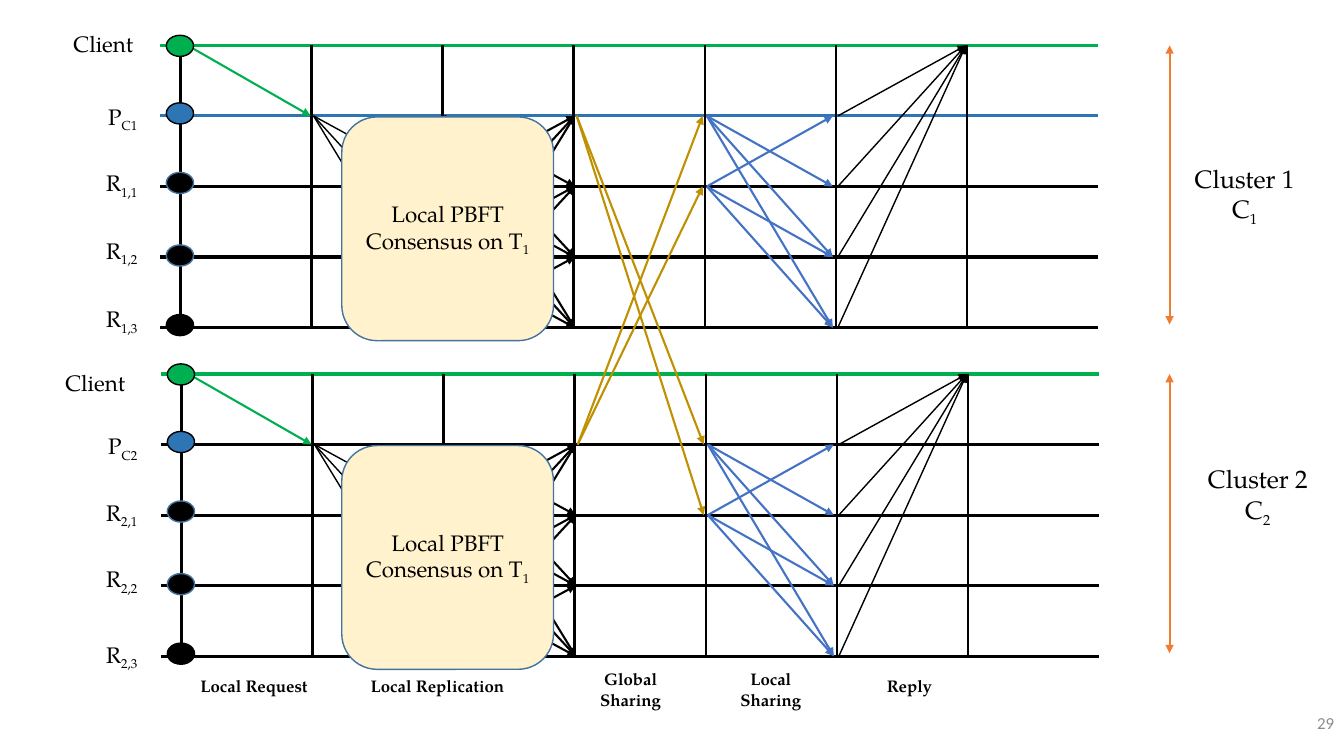
from dataclasses import dataclass

from lxml.etree import SubElement as Sub
from pptx import Presentation as Deck
from pptx.dml.color import RGBColor as Color
from pptx.enum.shapes import MSO_CONNECTOR as Link, MSO_SHAPE as Form
from pptx.enum.text import MSO_ANCHOR as Anchor, PP_ALIGN as Align
from pptx.oxml.ns import qn
from pptx.util import Emu, Pt

PX = 9144  # EMU per px, 100 px to the inch
SERIF = "TeX Gyre Pagella"
BLACK, GREEN, BLUE, RIM = "000000", "00B050", "2E75B6", "43739E"
GOLD, SKY, RUST, CREAM, GRAY = "BF9000", "4472C4", "ED7D31", "FFF2CC", "8C8C8C"
COL, ROW = 130, 70  # grid steps between phases and between nodes
ROWS, COLS = 5, 7

Spot = tuple[int, int]
Area = tuple[int, int, int, int]
Runs = list[tuple[str, str]]  # pairs of plain text and subscript


@dataclass
class Node:
    drop: int
    fill: str
    rim: str


@dataclass
class Flow:
    col: int
    starts: tuple[int, ...]
    ends: tuple[int, ...]
    color: str
    width: float
    lead: int = 2
    gap: int = 1


@dataclass
class Group:
    num: str
    left: int
    top: int
    main: str
    client: Area
    names: tuple[int, ...]
    title: Area


@dataclass
class Phase:
    lines: tuple[str, ...]
    area: Area


NODES = [
    Node(-10, GREEN, BLACK),
    Node(57, BLUE, BLACK),
    Node(126, BLACK, RIM),
    Node(198, BLACK, RIM),
    Node(267, BLACK, BLACK),
]
PEERS = (1, 2, 3, 4)
FLOWS = [
    Flow(0, (0,), (1,), GREEN, 1.5, lead=7),
    Flow(1, (1,), (2, 3, 4), BLACK, 1, gap=0),
    Flow(2, PEERS, PEERS, BLACK, 1.5, gap=-1),
    Flow(4, (1, 2), PEERS, SKY, 1.5, gap=3),
    Flow(5, PEERS, (0,), BLACK, 1),
]
GROUPS = [
    Group("1", 179, 45, BLUE, (62, 25, 80, 37), (97, 163, 230, 298),
          (1173, 157, 123, 71)),
    Group("2", 180, 371, BLACK, (54, 361, 80, 37), (424, 490, 556, 631),
          (1187, 455, 121, 71)),
]
PHASES = [
    Phase(("Local Request",), (188, 665, 128, 30)),
    Phase(("Local Replication",), (357, 665, 154, 30)),
    Phase(("Global", "Sharing"), (585, 659, 81, 50)),
    Phase(("Local", "Sharing"), (724, 659, 81, 50)),
    Phase(("Reply",), (869, 665, 66, 30)),
]


def px(num: int) -> Emu:
    return Emu(num * PX)


def paint(part, code: str) -> None:
    """Give a fill or line format a solid colour."""
    fill = part.fill if hasattr(part, "fill") else part
    fill.solid()
    fill.fore_color.rgb = Color.from_string(code)


def line(start: Spot, end: Spot, color: str, width: float, *tips: str) -> None:
    wire = slide.shapes.add_connector(Link.STRAIGHT, *map(px, start + end))
    paint(wire.line, color)
    wire.line.width = Pt(width)
    for tip in tips:
        Sub(wire.line._get_or_add_ln(), qn("a:" + tip), type="triangle")
    Sub(wire._element.spPr, qn("a:effectLst"))


def shape(form: Form, area: Area, fill: str, rim: str):
    item = slide.shapes.add_shape(form, *map(px, area))
    item.shadow.inherit = False
    paint(item.fill, fill)
    paint(item.line, rim)
    item.line.width = Pt(1)
    return item


def write(frame, rows: list[Runs], size: int, align: Align,
          color: str = BLACK, bold: bool = False, face: str = SERIF) -> None:
    for at, runs in enumerate(rows):
        para = frame.add_paragraph() if at else frame.paragraphs[0]
        para.alignment = align
        for pair in runs:
            for low, text in enumerate(pair):
                if not text:
                    continue
                run = para.add_run()
                run.text = text
                run.font.size, run.font.name, run.font.bold = Pt(size), face, bold
                paint(run.font, color)
                if low:
                    run._r.get_or_add_rPr().set("baseline", "-25000")


def label(area: Area, rows: list[Runs], size: int, align: Align,
          **style) -> None:
    frame = slide.shapes.add_textbox(*map(px, area)).text_frame
    frame.word_wrap = False
    write(frame, rows, size, align, **style)


def spot(group: Group, col: int, row: int, shift: int = 0) -> Spot:
    return group.left + col * COL + shift, group.top + row * ROW


def draw(group: Group) -> None:
    # Time lines and phase borders
    tints = [GREEN, group.main] + [BLACK] * 3
    for row, tint in enumerate(tints):
        line(spot(group, 0, row, -20), spot(group, COLS, row), tint, 2.25)
    for col in range(COLS):
        line(spot(group, col, 0), spot(group, col, ROWS - 1), BLACK, 1.75)

    # Messages within the cluster
    for flow in FLOWS:
        for a in flow.starts:
            for b in flow.ends:
                if a != b:
                    line(spot(group, flow.col, a, flow.lead),
                         spot(group, flow.col + 1, b, -flow.gap),
                         flow.color, flow.width, "tailEnd")

    # Nodes and their names
    for node in NODES:
        shape(Form.OVAL, (group.left - 14, group.top + node.drop, 27, 21),
              node.fill, node.rim)
    label(group.client, [[("Client", "")]], 16, Align.RIGHT)
    names = [("P", "C" + group.num)]
    names += [("R", f"{group.num},{peer}") for peer in (1, 2, 3)]
    for name, top in zip(names, group.names):
        label((92, top, 54, 37), [[name]], 16, Align.RIGHT)

    # Consensus box
    box = shape(Form.ROUNDED_RECTANGLE, (339, group.top + 71, 210, 222),
                CREAM, RIM)
    box.text_frame.word_wrap = True
    box.text_frame.vertical_anchor = Anchor.MIDDLE
    write(box.text_frame, [[("Local PBFT Consensus on T", "1")]], 16,
          Align.CENTER)

    # Cluster span and title
    line((1160, group.top), (1160, group.top + 277), RUST, 1.5,
         "headEnd", "tailEnd")
    label(group.title, [[("Cluster " + group.num, "")], [("C", group.num)]],
          18, Align.CENTER)


deck = Deck()
deck.slide_width, deck.slide_height = px(1333), px(750)
slide = deck.slides.add_slide(deck.slide_layouts[6])

for group in reversed(GROUPS):
    draw(group)

# Messages between the clusters
for here, there in (GROUPS, GROUPS[::-1]):
    for row in (1, 2):
        line(spot(here, 3, 1, 3), spot(there, 4, row, -2), GOLD, 1.5, "tailEnd")

# Phase names
for phase in PHASES:
    label(phase.area, [[(text, "")] for text in phase.lines], 12,
          Align.CENTER, bold=True)

# Page number
label((1293, 702, 40, 36), [[("29", "")]], 12, Align.RIGHT,
      color=GRAY, face="Calibri")

deck.save("out.pptx")
